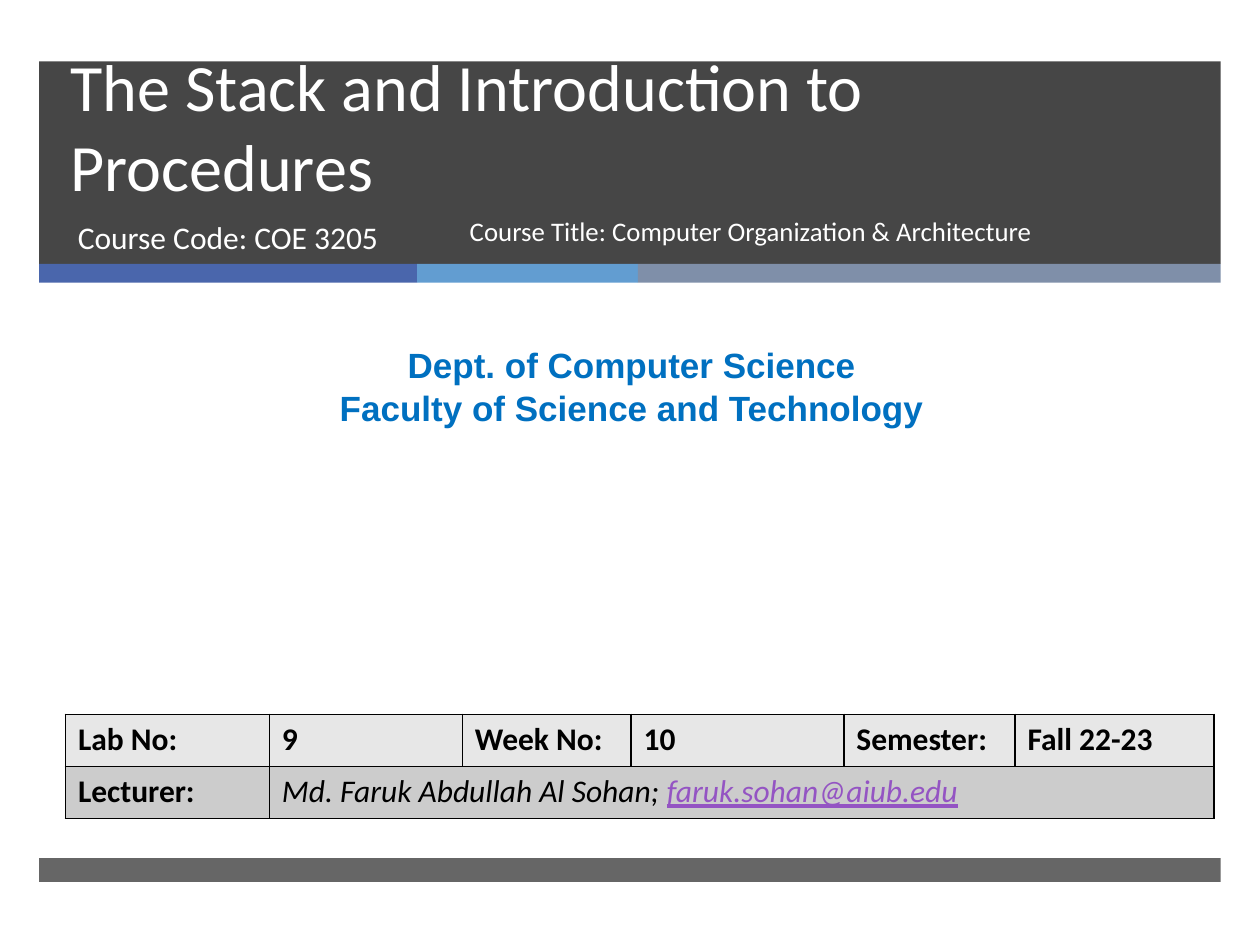
from itertools import accumulate

from lxml.etree import SubElement
from pptx import Presentation
from pptx.dml.color import RGBColor
from pptx.enum.shapes import MSO_SHAPE
from pptx.enum.text import MSO_ANCHOR, MSO_AUTO_SIZE, PP_ALIGN
from pptx.oxml import parse_xml
from pptx.oxml.ns import nsdecls, qn
from pptx.util import Cm, Pt

COLORS = {
    "dark": "262626", "blue": "4A66AC", "sky": "629DD1", "slate": "7F8FA9",
    "white": "FFFFFF", "black": "000000", "department": "0070C0",
    "email": "9454C3", "light_row": "E7E7E7", "dark_row": "CCCCCC",
}

TITLE = "The Stack and Introduction to Procedures"
COURSE_CODE = "Course Code: COE 3205"
COURSE_TITLE = "Course Title: Computer Organization & Architecture"
DEPARTMENT = ["Dept. of Computer Science", "Faculty of Science and Technology"]
LAB_DETAILS = ["Lab No:", "9", "Week No:", "10", "Semester:", "Fall 22-23"]
LECTURER = ["Md. Faruk Abdullah Al Sohan; ", "faruk.sohan@aiub.edu"]

BAND_LEFT, BAND_WIDTH = 0.79, 23.82
STRIPES = [("blue", 7.62), ("sky", 4.45), ("slate", 11.75)]
BARS = [("dark", 1.24, 4.08, 85), ("dark", 17.3, 0.48, 70)]
COLUMN_WIDTHS = [4.11, 3.89, 3.4, 4.29, 3.45, 4.01]
ROW_HEIGHT = 1.05


def rgb(name):
    return RGBColor.from_string(COLORS[name])


def style(font, size, color, name="Calibri", bold=False, italic=False):
    font.name, font.size = name, Pt(size)
    font.bold, font.italic = bold, italic
    font.color.rgb = rgb(color)


def add_bar(slide, color, left, top, width, height, opacity=100):
    bar = slide.shapes.add_shape(
        MSO_SHAPE.RECTANGLE, Cm(left), Cm(top), Cm(width), Cm(height))
    bar.shadow.inherit = False
    bar.fill.solid()
    bar.fill.fore_color.rgb = rgb(color)
    bar.line.fill.background()
    if opacity < 100:
        fill_color = bar.fill._xPr.find(".//" + qn("a:srgbClr"))
        SubElement(fill_color, qn("a:alpha"), val=str(opacity * 1000))


def add_text(slide, lines, left, top, width, height, size, color, **options):
    box = slide.shapes.add_textbox(Cm(left), Cm(top), Cm(width), Cm(height))
    box.text_frame.word_wrap = True
    box.text_frame.text = "\n".join(lines)
    for paragraph in box.text_frame.paragraphs:
        style(paragraph.runs[0].font, size, color, **options)
    return box.text_frame.paragraphs


def format_cell(cell, fill):
    cell.fill.solid()
    cell.fill.fore_color.rgb = rgb(fill)
    properties = cell._tc.get_or_add_tcPr()
    for position, side in enumerate(("lnL", "lnR", "lnT", "lnB")):
        properties.insert(position, parse_xml(
            f'<a:{side} {nsdecls("a")} w="12700"><a:solidFill>'
            f'<a:srgbClr val="{COLORS["black"]}"/></a:solidFill></a:{side}>'))


def add_title(slide):
    title = slide.shapes.title
    slide.shapes._spTree.append(title._element)
    title.left, title.top = Cm(1.17), Cm(1.24)
    title.width, title.height = Cm(21.69), Cm(3.02)
    frame = title.text_frame
    frame.text = TITLE
    frame.auto_size = MSO_AUTO_SIZE.NONE
    frame.vertical_anchor = MSO_ANCHOR.BOTTOM
    heading = frame.paragraphs[0]
    heading.alignment = PP_ALIGN.LEFT
    heading.line_spacing = Pt(46)
    style(heading.runs[0].font, 37.8, "white")


def add_lab_table(slide):
    table = slide.shapes.add_table(
        2, len(COLUMN_WIDTHS), Cm(1.32), Cm(14.4),
        Cm(sum(COLUMN_WIDTHS)), Cm(2 * ROW_HEIGHT)).table
    for column, width in zip(table.columns, COLUMN_WIDTHS):
        column.width = Cm(width)
    for row, fill in zip(table.rows, ("light_row", "dark_row")):
        row.height = Cm(ROW_HEIGHT)
        for cell in row.cells:
            format_cell(cell, fill)

    labels = [(table.cell(0, i), text) for i, text in enumerate(LAB_DETAILS)]
    for cell, text in labels + [(table.cell(1, 0), "Lecturer:")]:
        cell.text = text
        style(cell.text_frame.paragraphs[0].runs[0].font, 18, "black", bold=True)

    lecturer = table.cell(1, 1)
    lecturer.merge(table.cell(1, len(COLUMN_WIDTHS) - 1))
    contact = lecturer.text_frame.paragraphs[0]
    for text, color in zip(LECTURER, ("black", "email")):
        run = contact.add_run()
        run.text = text
        style(run.font, 18, color, italic=True)
    run.font.underline = True


def main():
    deck = Presentation()
    deck.slide_width, deck.slide_height = Cm(25.4), Cm(19.05)
    slide = deck.slides.add_slide(deck.slide_layouts[5])

    for color, top, height, opacity in BARS:
        add_bar(slide, color, BAND_LEFT, top, BAND_WIDTH, height, opacity)
    edges = accumulate((width for _, width in STRIPES), initial=BAND_LEFT)
    for (color, width), left in zip(STRIPES, edges):
        add_bar(slide, color, left, 5.32, width, 0.38)

    add_title(slide)
    add_text(slide, [COURSE_CODE], 1.32, 4.27, 7.75, 1.35, 18, "white")
    department = add_text(slide, DEPARTMENT, 0.2, 6.81, 25.07, 1.96, 20,
                          "department", name="Arial", bold=True)
    for line in department:
        line.alignment = PP_ALIGN.CENTER
    add_lab_table(slide)
    course_title = add_text(
        slide, [COURSE_TITLE], 9.22, 4.27, 11.91, 1.35, 15.3, "white")
    course_title[0].line_spacing = 0.9
    deck.save("out.pptx")


if __name__ == "__main__":
    main()
